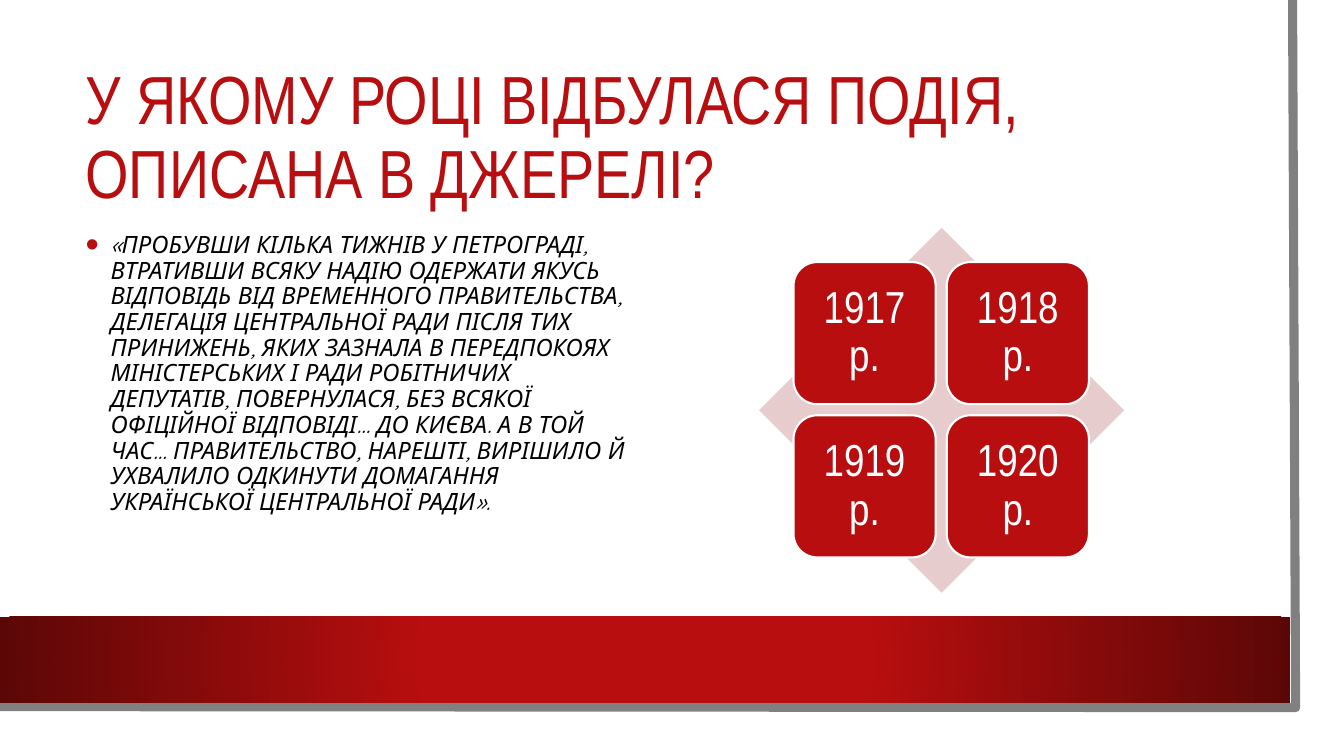
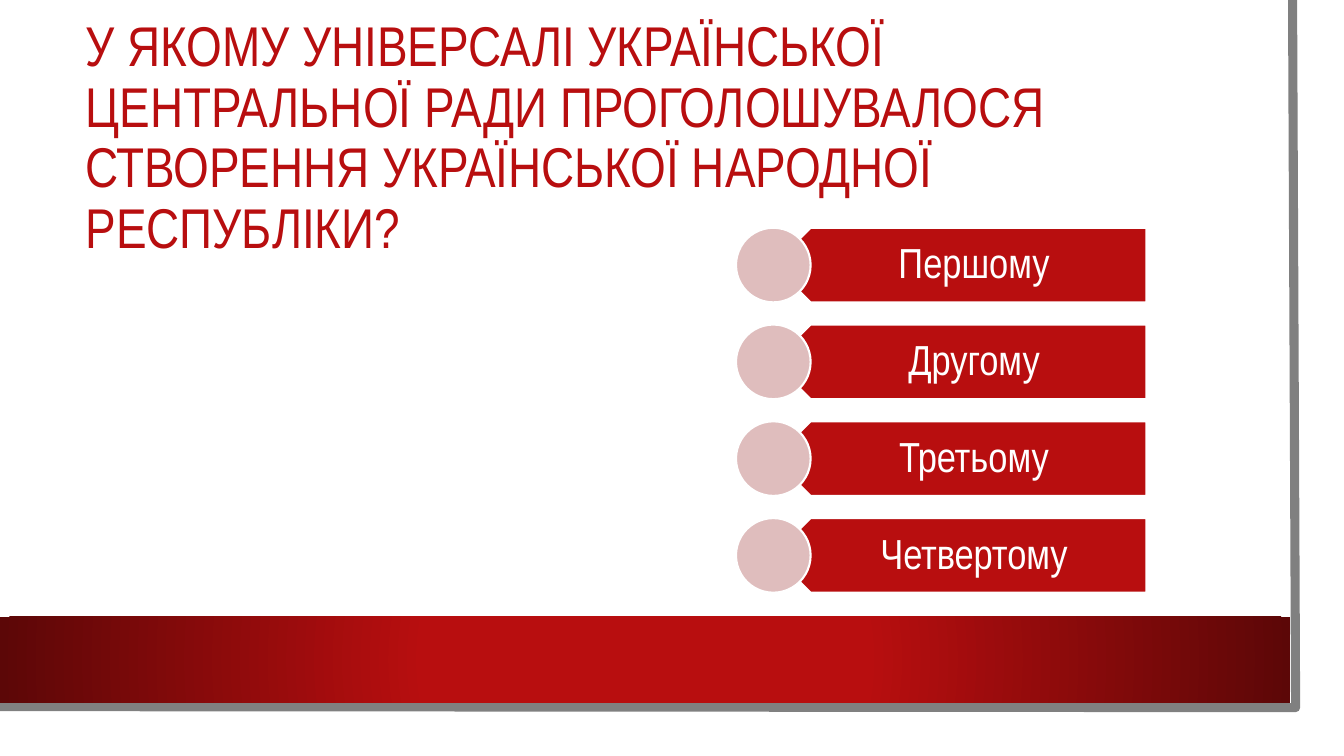
from dataclasses import dataclass
from itertools import product

from pptx import Presentation
from pptx import oxml
from pptx import util as u
from pptx.dml.color import RGBColor
from pptx.enum import shapes, text
from pptx.oxml import ns

Inches = u.Inches
Shape = shapes.MSO_SHAPE


@dataclass(frozen=True)
class Theme:
    red: str = "B80E0F"
    dark_red: str = "5C0707"
    pale_red: str = "E6CCCC"
    dusty_red: str = "DFBDBD"
    white: str = "FFFFFF"
    black: str = "000000"
    edge: str = "808080"
    heading_font: str = "Arial Narrow"
    body_font: str = "Quicksand"
    title_size: float = 48.6
    long_title_size: float = 40
    body_size: float = 17
    year_size: float = 32
    answer_size: float = 30
    outline: float = 1.5
    edge_width: float = 6.5
    leading: float = 0.9


class Deck:
    def __init__(self, theme):
        self.theme = theme
        self.prs = Presentation()
        self.prs.slide_width = Inches(13.33)
        self.prs.slide_height = Inches(7.5)
        self.slide = None

    def new_slide(self, title, size):
        self.slide = self.prs.slides.add_slide(self.prs.slide_layouts[6])
        self.shape(Shape.RECTANGLE, 0, 0, 13.1, 7.27, self.theme.white)
        self.page_edge()
        self.band()
        box = self.text_box(0.75, 0.75, 11.37, 1.27)
        self.add_text(box, title, size, self.theme.red, anchor=text.MSO_ANCHOR.MIDDLE)

    def shape(self, kind, left, top, width, height, fill, outline=None):
        shape = self.slide.shapes.add_shape(
            kind, Inches(left), Inches(top), Inches(width), Inches(height))
        shape.shadow.inherit = False
        shape.fill.solid()
        shape.fill.fore_color.rgb = RGBColor.from_string(fill)
        if outline:
            self.stroke(shape, outline, self.theme.outline)
        else:
            shape.line.fill.background()
        return shape

    def stroke(self, shape, colour, width):
        shape.line.color.rgb = RGBColor.from_string(colour)
        shape.line.width = u.Pt(width)

    def page_edge(self):
        builder = self.slide.shapes.build_freeform(
            Inches(12.82), 0, scale=1.0)
        builder.add_line_segments(
            [(Inches(12.85), Inches(7.02)), (Inches(-0.03), Inches(7.01))], close=False)
        edge = builder.convert_to_shape()
        edge.shadow.inherit = False
        edge.fill.background()
        self.stroke(edge, self.theme.edge, self.theme.edge_width)

    def band(self):
        band = self.shape(Shape.RECTANGLE, 0, 6.12, 12.8, 0.85, self.theme.red)
        properties = band.element.spPr
        gradient = oxml.parse_xml(
            f'<a:gradFill {ns.nsdecls("a")} rotWithShape="1"><a:gsLst>'
            f'<a:gs pos="34000"><a:srgbClr val="{self.theme.red}"/></a:gs>'
            f'<a:gs pos="100000"><a:srgbClr val="{self.theme.dark_red}"/></a:gs>'
            '</a:gsLst><a:path path="circle">'
            '<a:fillToRect l="50000" t="50000" r="50000" b="50000"/>'
            '</a:path></a:gradFill>')
        properties.replace(properties.find(ns.qn("a:solidFill")), gradient)

    def text_box(self, left, top, width, height):
        return self.slide.shapes.add_textbox(
            Inches(left), Inches(top), Inches(width), Inches(height))

    def add_text(self, holder, words, size, colour, font=None, italic=None,
                 anchor=text.MSO_ANCHOR.TOP, align=text.PP_ALIGN.LEFT, insets=None):
        frame = holder.text_frame
        frame.word_wrap = True
        frame.vertical_anchor = anchor
        if insets:
            (frame.margin_left, frame.margin_top,
             frame.margin_right, frame.margin_bottom) = map(Inches, insets)
        paragraph = frame.paragraphs[0]
        paragraph.alignment = align
        paragraph.line_spacing = self.theme.leading
        run = paragraph.add_run()
        run.text = words
        run.font.name = font or self.theme.heading_font
        run.font.size = u.Pt(size)
        run.font.italic = italic
        run.font.color.rgb = RGBColor.from_string(colour)
        return paragraph

    def quotation(self, words):
        box = self.text_box(0.75, 2.26, 5.57, 3.62)
        paragraph = self.add_text(box, words, self.theme.body_size, self.theme.black,
                                  font=self.theme.body_font, italic=True)
        properties = paragraph._p.get_or_add_pPr()
        properties.set("marL", str(Inches(0.25)))
        properties.set("indent", str(Inches(-0.25)))
        for bullet in (f'buClr {ns.nsdecls("a")}><a:srgbClr val="{self.theme.red}"/></a:buClr',
                       f'buSzPct {ns.nsdecls("a")} val="160000"/',
                       f'buFont {ns.nsdecls("a")} typeface="Arial"/',
                       f'buChar {ns.nsdecls("a")} char="•"/'):
            properties.append(oxml.parse_xml(f"<a:{bullet}>"))

    def label(self, shape, words, size, insets):
        self.add_text(shape, words, size, self.theme.white, insets=insets,
                      anchor=text.MSO_ANCHOR.MIDDLE, align=text.PP_ALIGN.CENTER)

    def year_matrix(self, years):
        self.shape(Shape.DIAMOND, 7.53, 2.26, 3.62, 3.62, self.theme.pale_red)
        for year, (row, column) in zip(years, product(range(2), repeat=2)):
            tile = self.shape(Shape.ROUNDED_RECTANGLE, 7.87 + 1.52 * column, 2.6 + 1.52 * row,
                              1.41, 1.41, self.theme.red, self.theme.white)
            self.label(tile, year, self.theme.year_size, (0.13,) * 4)

    def answer_list(self, answers):
        for row, answer in enumerate(answers):
            top = 2.26 + 0.96 * row
            plate = self.shape(Shape.PENTAGON, 7.67, top, 3.7, 0.74,
                               self.theme.red, self.theme.white)
            plate.element.spPr.xfrm.set("flipH", "1")
            self.label(plate, answer, self.theme.answer_size, (0.33, 0.12, 0.23, 0.12))
            self.shape(Shape.OVAL, 7.3, top, 0.74, 0.74,
                       self.theme.dusty_red, self.theme.white)


def main():
    theme = Theme()
    deck = Deck(theme)

    deck.new_slide("У ЯКОМУ РОЦІ ВІДБУЛАСЯ ПОДІЯ, ОПИСАНА В ДЖЕРЕЛІ?", theme.title_size)
    deck.quotation(
        "«ПРОБУВШИ КІЛЬКА ТИЖНІВ У ПЕТРОГРАДІ, ВТРАТИВШИ ВСЯКУ НАДІЮ ОДЕРЖАТИ ЯКУСЬ "
        "ВІДПОВІДЬ ВІД ВРЕМЕННОГО ПРАВИТЕЛЬСТВА, ДЕЛЕГАЦІЯ ЦЕНТРАЛЬНОЇ РАДИ ПІСЛЯ ТИХ "
        "ПРИНИЖЕНЬ, ЯКИХ ЗАЗНАЛА В ПЕРЕДПОКОЯХ МІНІСТЕРСЬКИХ І РАДИ РОБІТНИЧИХ ДЕПУТАТІВ, "
        "ПОВЕРНУЛАСЯ, БЕЗ ВСЯКОЇ ОФІЦІЙНОЇ ВІДПОВІДІ… ДО КИЄВА. А В ТОЙ ЧАС… "
        "ПРАВИТЕЛЬСТВО, НАРЕШТІ, ВИРІШИЛО Й УХВАЛИЛО ОДКИНУТИ ДОМАГАННЯ УКРАЇНСЬКОЇ "
        "ЦЕНТРАЛЬНОЇ РАДИ».")
    deck.year_matrix(["1917 р.", "1918 р.", "1919 р.", "1920 р."])

    deck.new_slide(
        "У ЯКОМУ УНІВЕРСАЛІ УКРАЇНСЬКОЇ ЦЕНТРАЛЬНОЇ РАДИ ПРОГОЛОШУВАЛОСЯ "
        "СТВОРЕННЯ УКРАЇНСЬКОЇ НАРОДНОЇ РЕСПУБЛІКИ?", theme.long_title_size)
    deck.answer_list(["Першому", "Другому", "Третьому", "Четвертому"])

    deck.prs.save("out.pptx")


if __name__ == "__main__":
    main()
